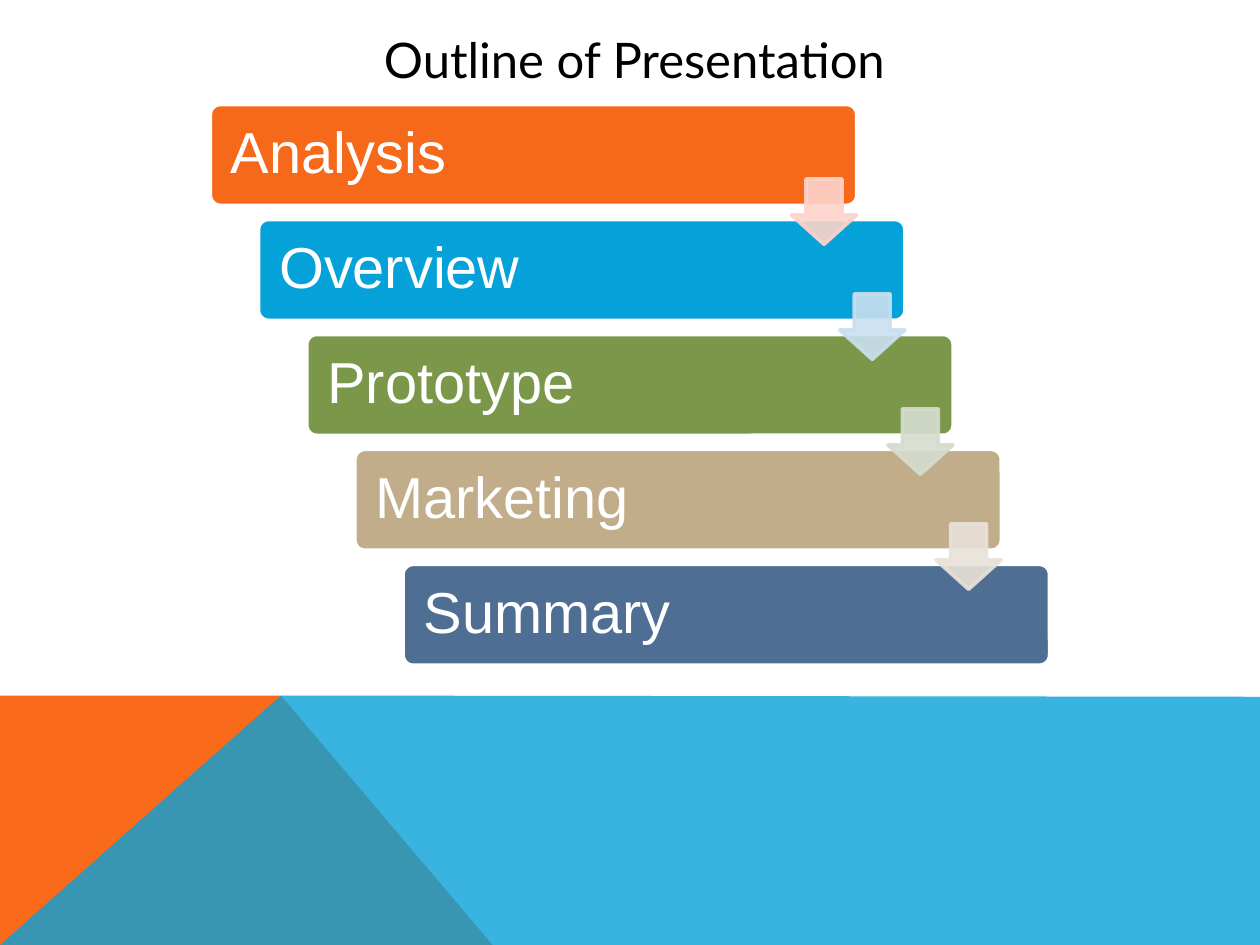
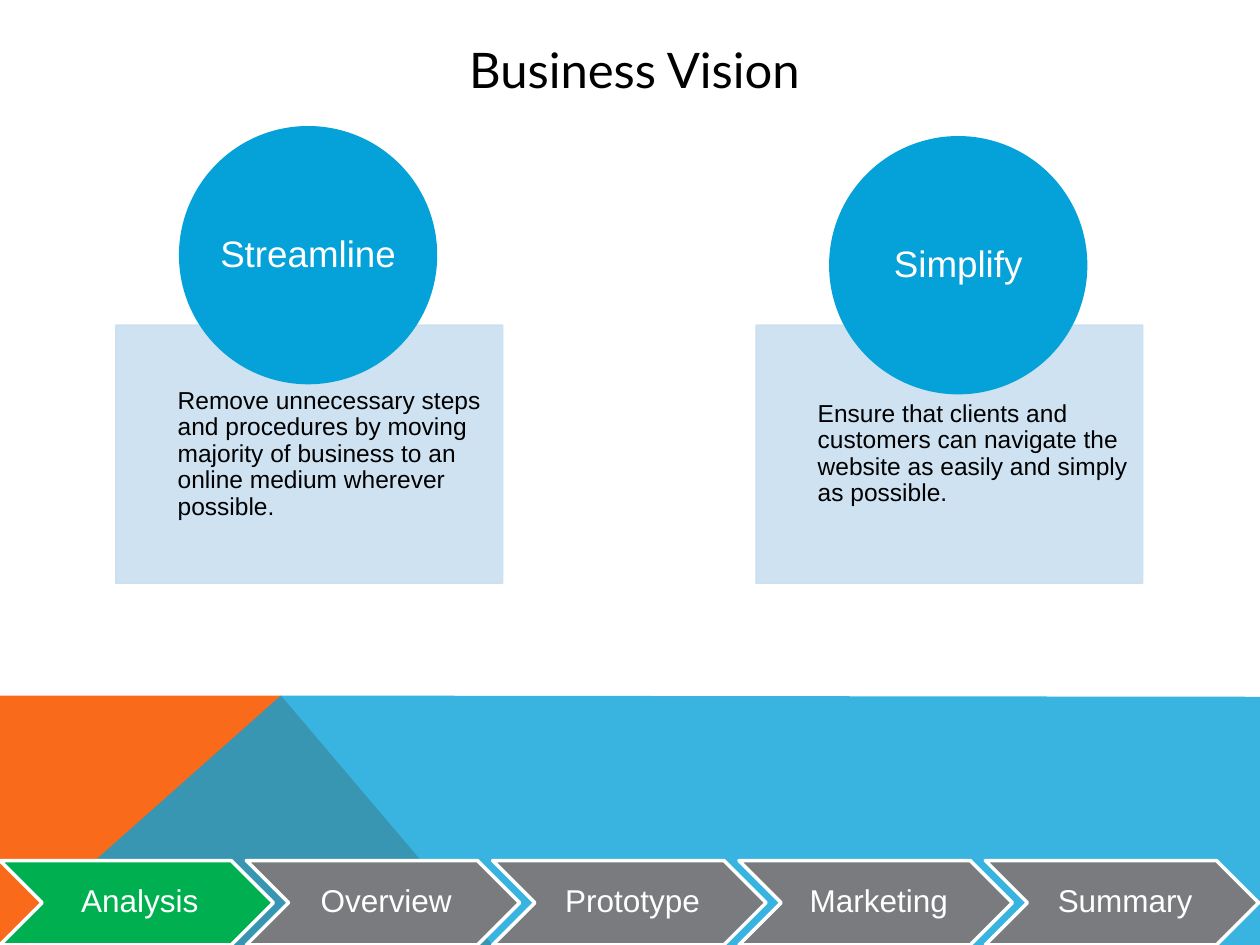
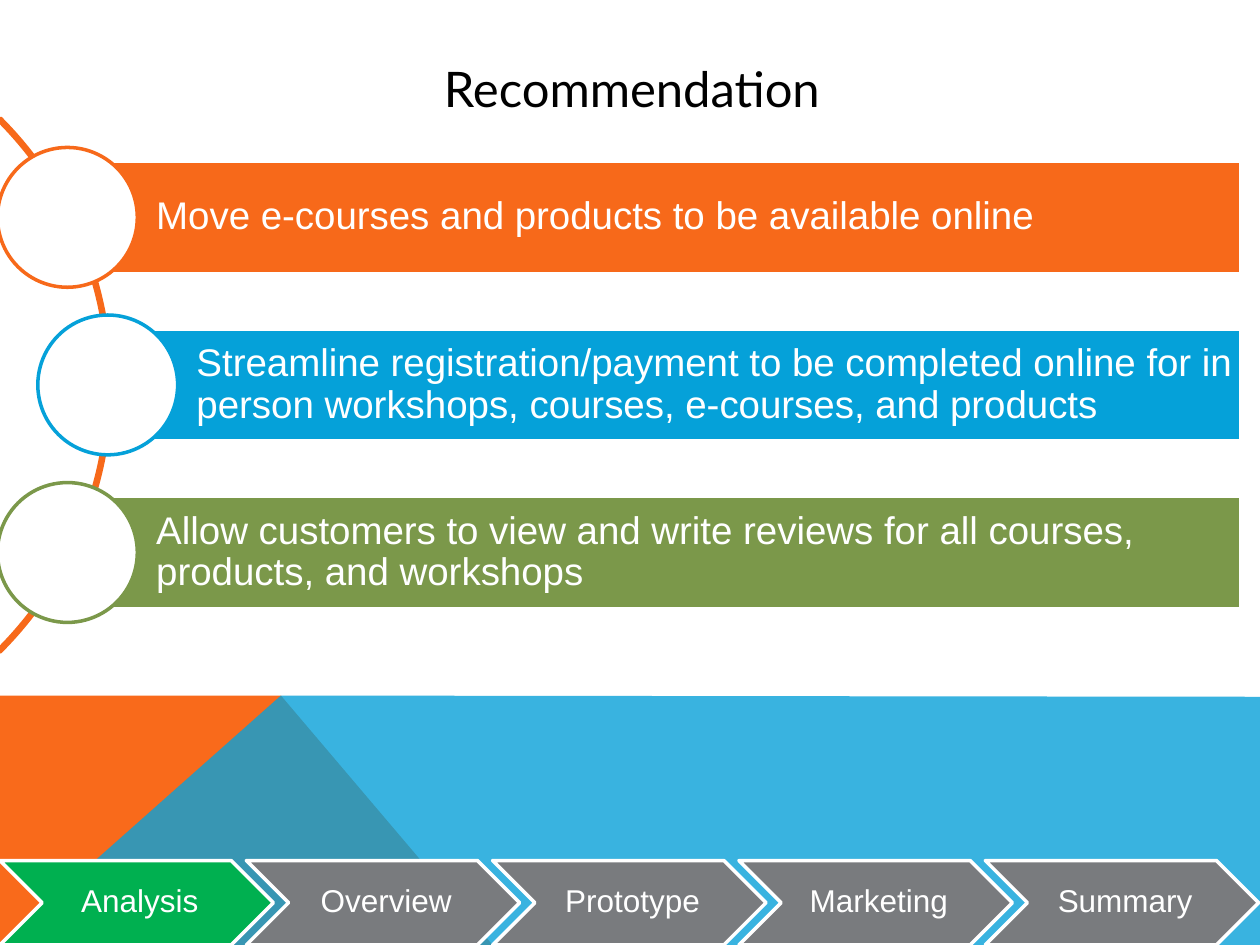
from typing import NamedTuple, Optional

import pptx
import pptx.dml.color
import pptx.enum.shapes
import pptx.enum.text
import pptx.oxml.ns
import pptx.util
from lxml import etree
from pptx.util import Inches

SHAPE = pptx.enum.shapes.MSO_SHAPE
ALIGN = pptx.enum.text.PP_ALIGN

COLORS = {
    "white": "FFFFFF",
    "black": "000000",
    "orange": "F7691A",
    "blue": "05A1D9",
    "green": "7B984A",
    "tan": "C2AD8B",
    "slate": "4F6E93",
    "pale orange": "FDD3CB",
    "pale blue": "C9DFF0",
    "pale green": "D5DCCE",
    "pale tan": "E9E2D9",
    "band orange": "F96A1B",
    "band blue": "08A1D9",
    "active": "00B050",
    "inactive": "797B7E",
}
SECTIONS = ["Analysis", "Overview", "Prototype", "Marketing", "Summary"]


class Box(NamedTuple):
    left: float
    top: float
    width: float
    height: float


class TextStyle(NamedTuple):
    size: float
    color: str = "white"
    font: str = "Arial"
    align: ALIGN = ALIGN.LEFT
    insets: tuple[float, float, float, float] = (0, 0, 0, 0)
    spacing: float = 0.9
    after: float = 0


class Look(NamedTuple):
    fill: Optional[str] = None
    line: Optional[str] = None
    line_width: float = 2
    opacity: int = 100


class Vision(NamedTuple):
    heading: str
    detail: str
    panel_left: float
    circle_left: float
    circle_top: float


class Recommendation(NamedTuple):
    text: str
    color: str
    indent: float


TITLE = TextStyle(28, "black", "Lato", ALIGN.CENTER, (0.1, 0.05, 0.1, 0.05), 1)
STEP = TextStyle(33, insets=(0.14,) * 4, after=11.6)
NAV = TextStyle(18, align=ALIGN.CENTER, insets=(0.08, 0.03, 0.03, 0.03), after=6.3)
HEADING = TextStyle(21, align=ALIGN.CENTER, after=7.3)
DETAIL = TextStyle(14, "black", insets=(0.49, 0.11, 0.11, 0.11), after=4.9)
ADVICE = TextStyle(22, insets=(0.71, 0.06, 0.06, 0.06), after=7.7)


def rgb(name: str):
    return pptx.dml.color.RGBColor.from_string(COLORS[name])


def apply_look(sp, look: Look) -> None:
    sp.shadow.inherit = False
    if look.fill:
        sp.fill.solid()
        sp.fill.fore_color.rgb = rgb(look.fill)
    else:
        sp.fill.background()
    if look.line:
        sp.line.color.rgb = rgb(look.line)
        sp.line.width = pptx.util.Pt(look.line_width)
    else:
        sp.line.fill.background()
    if look.opacity < 100:
        qn = pptx.oxml.ns.qn
        for color in sp._element.spPr.iter(qn("a:srgbClr")):
            etree.SubElement(color, qn("a:alpha"), val=str(look.opacity * 1000))


def write(sp, text: str, style: TextStyle) -> None:
    tf = sp.text_frame
    tf.text = text
    tf.word_wrap = True
    tf.vertical_anchor = pptx.enum.text.MSO_ANCHOR.MIDDLE
    tf.margin_left, tf.margin_top, tf.margin_right, tf.margin_bottom = map(Inches, style.insets)
    p = tf.paragraphs[0]
    p.alignment = style.align
    p.line_spacing = style.spacing
    p.space_after = pptx.util.Pt(style.after)
    font = p.runs[0].font
    font.name = style.font
    font.size = pptx.util.Pt(style.size)
    font.color.rgb = rgb(style.color)


def add_shape(s, kind, box: Box, look: Look, adjustments: tuple[float, ...] = ()):
    sp = s.shapes.add_shape(kind, *map(Inches, box))
    for i, value in enumerate(adjustments):
        sp.adjustments[i] = value
    apply_look(sp, look)
    return sp


def add_band(s, points: list[tuple[float, float]], look: Look) -> None:
    corners = [(Inches(x), Inches(y)) for x, y in points]
    builder = s.shapes.build_freeform(*corners[0])
    builder.add_line_segments(corners[1:], close=True)
    apply_look(builder.convert_to_shape(), look)


def add_slide(prs, title: str, left: float, top: float):
    """Add a blank slide with the coloured bands and a title."""
    s = prs.slides.add_slide(prs.slide_layouts[6])
    add_band(s, [(0, 7.5), (0, 5.52), (2.23, 5.52), (3.91, 7.5)], Look("band orange"))
    add_band(s, [(0, 7.5), (2.23, 5.52), (10, 5.53), (10, 7.5)],
             Look("band blue", opacity=80))
    write(s.shapes.add_textbox(*map(Inches, (left, top, 8.23, 0.6))), title, TITLE)
    return s


def add_navigation(s, active: str) -> None:
    pitch = 7.82 / (len(SECTIONS) - 1)
    for i, section in enumerate(SECTIONS):
        look = Look("active" if section == active else "inactive", "white")
        sp = add_shape(s, SHAPE.CHEVRON, Box(i * pitch, 6.83, 2.17, 0.67), look, (0.5,))
        write(sp, section, NAV)


def build_outline(prs) -> None:
    s = add_slide(prs, "Outline of Presentation", 0.92, 0.17)
    steps = len(SECTIONS) - 1
    places = [(1.67 + i * 1.53 / steps, 0.83 + i * 3.65 / steps) for i in range(steps + 1)]

    # Staircase of sections
    colors = ["orange", "blue", "green", "tan", "slate"]
    for section, color, (left, top) in zip(SECTIONS, colors, places):
        sp = add_shape(s, SHAPE.ROUNDED_RECTANGLE, Box(left, top, 5.13, 0.8),
                       Look(color, "white"), (0.1,))
        write(sp, section, STEP)

    # Arrows from each step to the next
    for color, (left, top) in zip(colors[:-1], places):
        pale = f"pale {color}"
        add_shape(s, SHAPE.DOWN_ARROW, Box(left + 4.61, top + 0.59, 0.52, 0.52),
                  Look(pale, pale, opacity=90), (0.55, 0.45))


def build_vision(prs) -> None:
    s = add_slide(prs, "Business Vision", 0.92, 0.25)
    add_navigation(s, "Analysis")
    visions = [
        Vision("Streamline",
               "Remove unnecessary steps and procedures by moving majority of business "
               "to an online medium wherever possible.", 0.92, 1.42, 1),
        Vision("Simplify",
               "Ensure that clients and customers can navigate the website as easily "
               "and simply as possible.", 6, 6.58, 1.08),
    ]
    for v in visions:
        panel = add_shape(s, SHAPE.RECTANGLE, Box(v.panel_left, 2.58, 3.07, 2.05),
                          Look("pale blue", "pale blue", 0.75, 90))
        write(panel, v.detail, DETAIL)
        circle = add_shape(s, SHAPE.OVAL, Box(v.circle_left, v.circle_top, 2.05, 2.05),
                           Look("blue"))
        write(circle, v.heading, HEADING)


def build_recommendation(prs) -> None:
    s = add_slide(prs, "Recommendation", 0.9, 0.4)
    add_navigation(s, "Analysis")
    add_shape(s, SHAPE.BLOCK_ARC, Box(-5.11, 0.06, 5.99, 5.99), Look(line="orange"),
              (189, 27, 0.004))

    # Bars with a circle at the left end of each
    recommendations = [
        Recommendation("Move e-courses and products to be available online", "orange", 0),
        Recommendation("Streamline registration/payment to be completed online for in person "
                       "workshops, courses, e-courses, and products", "blue", 0.32),
        Recommendation("Allow customers to view and write reviews for all courses, products, "
                       "and workshops", "green", 0),
    ]
    for i, rec in enumerate(recommendations):
        top = 1.28 + i * 1.33
        bar = add_shape(s, SHAPE.RECTANGLE, Box(0.53 + rec.indent, top, 9.32 - rec.indent, 0.89),
                        Look(rec.color, "white"))
        write(bar, rec.text, ADVICE)
        add_shape(s, SHAPE.OVAL, Box(rec.indent - 0.02, top - 0.11, 1.11, 1.11),
                  Look("white", rec.color))


def main() -> None:
    prs = pptx.Presentation()
    prs.slide_width, prs.slide_height = Inches(10), Inches(7.5)
    build_outline(prs)
    build_vision(prs)
    build_recommendation(prs)
    prs.save("out.pptx")


if __name__ == "__main__":
    main()
